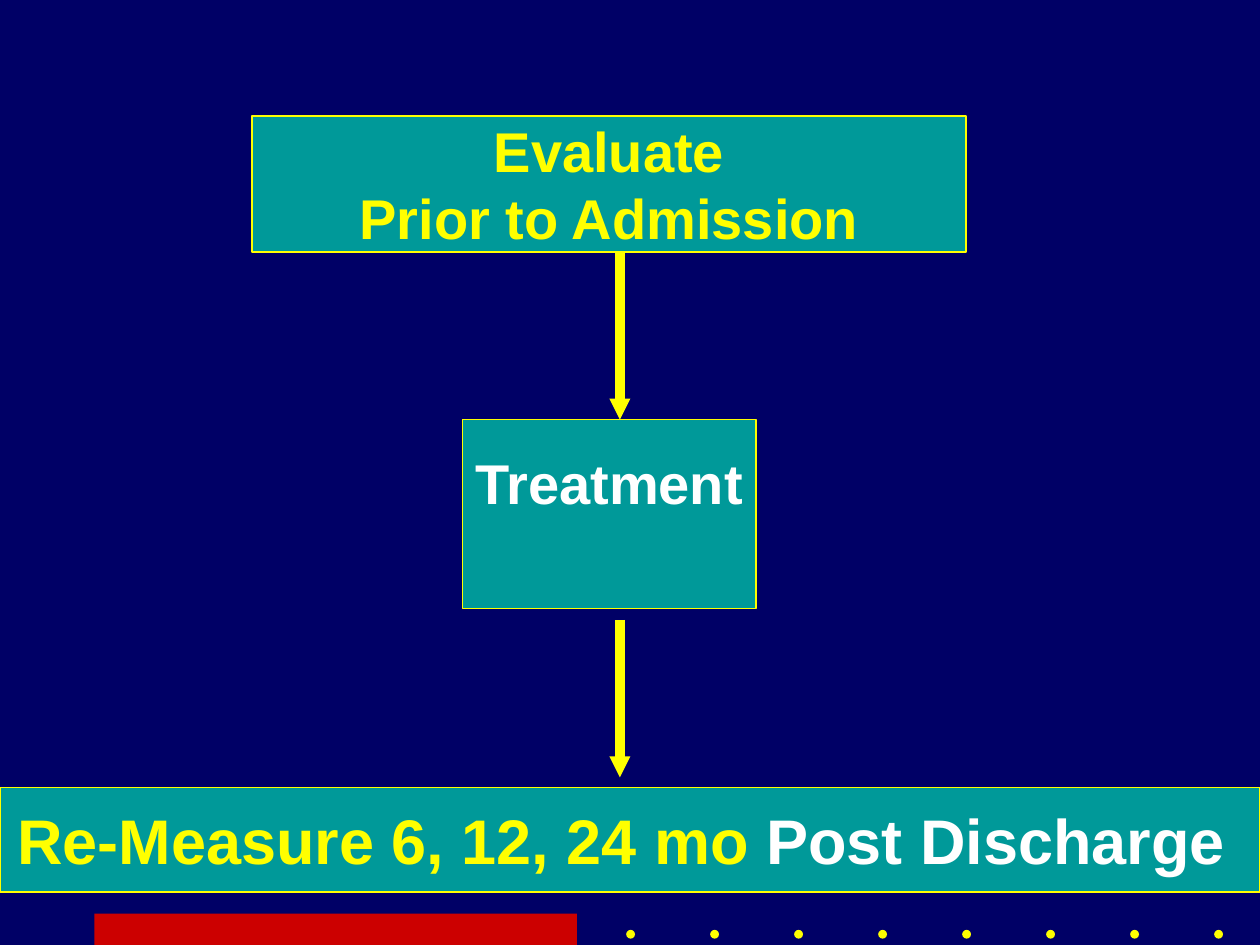
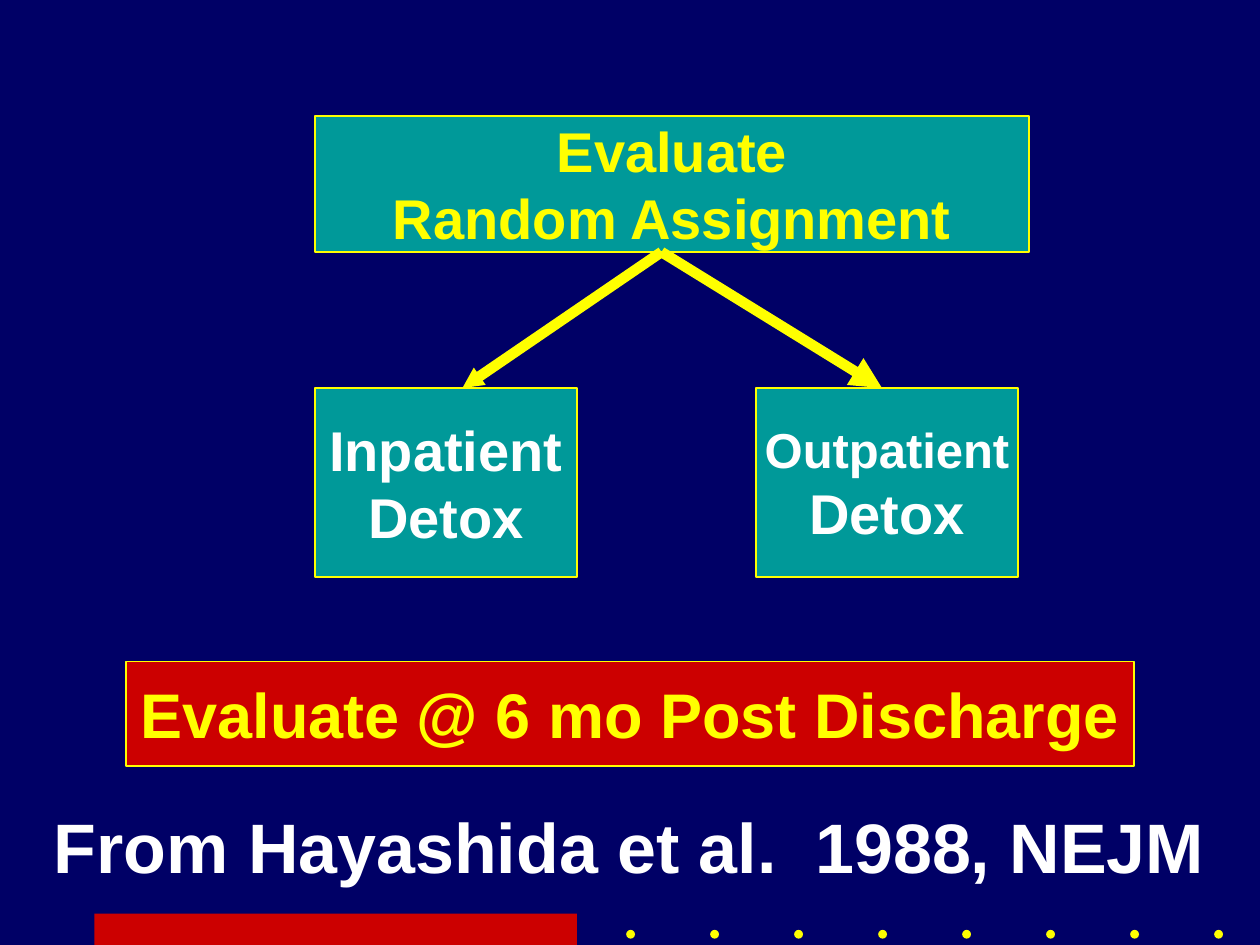
from typing import NamedTuple

from lxml.etree import SubElement
from pptx import Presentation
from pptx.dml.color import RGBColor
from pptx.enum.shapes import MSO_CONNECTOR as Connector, MSO_SHAPE as Preset
from pptx.enum.text import MSO_ANCHOR as Anchor, PP_ALIGN as Align
from pptx.oxml.ns import qn
from pptx.util import Inches, Pt

NAVY, TEAL, RED = "000066", "009999", "CC0000"
YELLOW, WHITE = "FFFF00", "FFFFFF"
FONT = "Arial"
DOT_COUNT, DOT_SIZE, DOT_GAP = 8, 0.07, 2 / 3


class Span(NamedTuple):
    text: str
    size: int = 32
    color: str = WHITE


class Step(NamedTuple):
    left: float
    top: float
    width: float
    height: float
    lines: list[list[Span]]
    fill: str = TEAL
    bottom_inset: float = 0.05


class Arrow(NamedTuple):
    start: tuple[float, float]
    end: tuple[float, float]
    head: str = "sm"


def rgb(value: str) -> RGBColor:
    return RGBColor.from_string(value)


def write_text(frame, lines: list[list[Span]], *, align=Align.CENTER,
               anchor=Anchor.MIDDLE, bottom_inset: float = 0.05) -> None:
    frame.word_wrap = False
    frame.vertical_anchor = anchor
    frame.margin_bottom = Inches(bottom_inset)
    for index, line in enumerate(lines):
        paragraph = frame.add_paragraph() if index else frame.paragraphs[0]
        paragraph.alignment = align
        for span in line:
            run = paragraph.add_run()
            run.text = span.text
            run.font.name = FONT
            run.font.bold = True
            run.font.size = Pt(span.size)
            run.font.color.rgb = rgb(span.color)


def draw_shape(slide, preset, left: float, top: float, width: float,
               height: float, fill: str, outline: str | None = None):
    shape = slide.shapes.add_shape(
        preset, Inches(left), Inches(top), Inches(width), Inches(height))
    shape.shadow.inherit = False
    shape.fill.solid()
    shape.fill.fore_color.rgb = rgb(fill)
    if outline:
        shape.line.color.rgb = rgb(outline)
        shape.line.width = Pt(1)
    else:
        shape.line.fill.background()
    return shape


def draw_step(slide, step: Step) -> None:
    box = draw_shape(slide, Preset.RECTANGLE, step.left, step.top,
                     step.width, step.height, step.fill, YELLOW)
    write_text(box.text_frame, step.lines, bottom_inset=step.bottom_inset)


def draw_arrow(slide, arrow: Arrow) -> None:
    ends = [Inches(value) for value in arrow.start + arrow.end]
    connector = slide.shapes.add_connector(Connector.STRAIGHT, *ends)
    connector.line.color.rgb = rgb(YELLOW)
    connector.line.width = Pt(6)
    properties = connector._element.spPr
    SubElement(properties.find(qn("a:ln")), qn("a:tailEnd"),
               type="triangle", w=arrow.head, len=arrow.head)
    SubElement(properties, qn("a:effectLst"))


def draw_footer(slide) -> None:
    draw_shape(slide, Preset.RECTANGLE, 0.75, 7.25, 3.83, 0.25, RED)
    for index in range(DOT_COUNT):
        draw_shape(slide, Preset.OVAL, 4.97 + index * DOT_GAP, 7.38,
                   DOT_SIZE, DOT_SIZE, YELLOW)


def add_flow(deck, steps: list[Step], arrows: list[Arrow]):
    slide = deck.slides.add_slide(deck.slide_layouts[6])
    slide.background.fill.solid()
    slide.background.fill.fore_color.rgb = rgb(NAVY)
    draw_footer(slide)
    for step in steps:
        draw_step(slide, step)
    for arrow in arrows:
        draw_arrow(slide, arrow)
    return slide


def evaluation(left: float, detail: str) -> Step:
    return Step(left, 0.92, 5.67, 1.08,
                [[Span("Evaluate", color=YELLOW)], [Span(detail, color=YELLOW)]])


def detox(left: float, setting: str, size: int = 32) -> Step:
    return Step(left, 3.08, 2.08, 1.5, [[Span(setting, size)], [Span("Detox")]])


def main() -> None:
    deck = Presentation()
    deck.slide_width, deck.slide_height = Inches(10), Inches(7.5)

    add_flow(
        deck,
        [
            evaluation(2, "Prior to Admission"),
            Step(3.67, 3.33, 2.33, 1.5, [[Span("Treatment")]], bottom_inset=0.56),
            Step(0, 6.25, 10, 0.83, [[Span("Re-Measure 6, 12, 24 mo ", 36, YELLOW),
                                      Span("Post Discharge ", 36)]]),
        ],
        [Arrow((4.92, 2), (4.92, 3.33)), Arrow((4.92, 4.92), (4.92, 6.17))],
    )

    trial = add_flow(
        deck,
        [
            evaluation(2.5, "Random Assignment"),
            detox(2.5, "Inpatient"),
            detox(6, "Outpatient", 28),
            Step(1, 5.25, 8, 0.83,
                 [[Span("Evaluate @ 6 mo Post Discharge", 36, YELLOW)]], RED),
        ],
        [Arrow((5.25, 2), (3.67, 3.08)), Arrow((5.25, 2), (7, 3.08), "med")],
    )
    citation = trial.shapes.add_textbox(
        Inches(0.33), Inches(6.33), Inches(9.33), Inches(0.77))
    write_text(citation.text_frame, [[Span("From Hayashida et al.  1988, NEJM", 40)]],
               align=Align.LEFT, anchor=Anchor.TOP)

    deck.save("out.pptx")


if __name__ == "__main__":
    main()
